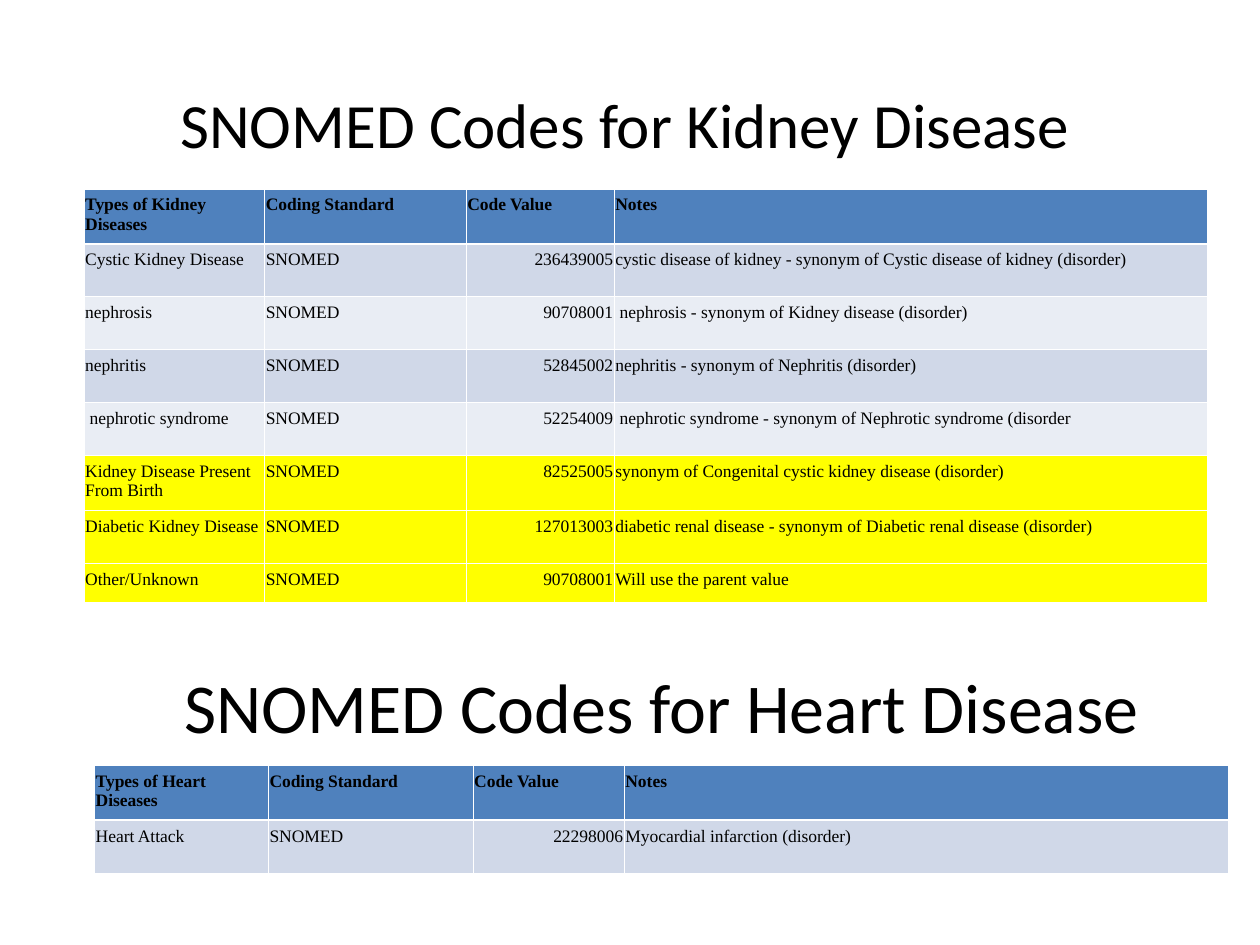
import pptx
import pptx.util
import pptx.dml.color
import pptx.enum.text
import pptx.oxml.ns
import lxml.etree

COLORS = {
    "header": "4F81BD",
    "dark": "D0D8E8",
    "light": "E9EDF4",
    "marked": "FFFF00",
    "rule": "FFFFFF",
    "text": "000000",
}
GRID_COLUMNS, GRID_ROWS = 120, 90
ROW, LAST_ROW = 5.05, 3.75
THIN, THICK = 0.45, 1.47
ALIGN = pptx.enum.text.PP_ALIGN
MIDDLE = pptx.enum.text.MSO_ANCHOR.MIDDLE

# Each row: disease, code, note, fill
KIDNEY = [
    ("Cystic Kidney Disease", "236439005",
     "cystic disease of kidney - synonym of Cystic disease of kidney (disorder)", "dark"),
    ("nephrosis", "90708001", " nephrosis - synonym of Kidney disease (disorder)", "light"),
    ("nephritis", "52845002", "nephritis - synonym of Nephritis (disorder)", "dark"),
    (" nephrotic syndrome", "52254009",
     " nephrotic syndrome - synonym of Nephrotic syndrome (disorder", "light"),
    ("Kidney Disease Present From Birth", "82525005",
     "synonym of Congenital cystic kidney disease (disorder)", "marked"),
    ("Diabetic Kidney Disease", "127013003",
     "diabetic renal disease - synonym of Diabetic renal disease (disorder)", "marked"),
    ("Other/Unknown", "90708001", "Will use the parent value", "marked"),
]
HEART = [("Heart Attack", "22298006", "Myocardial infarction (disorder)", "dark")]


def rgb(name):
    return pptx.dml.color.RGBColor.from_string(COLORS[name])


def across(columns):
    return pptx.util.Inches(columns * 10 / GRID_COLUMNS)


def down(rows):
    return pptx.util.Inches(rows * 7.5 / GRID_ROWS)


def place(box):
    left, top, width, height = box
    return across(left), down(top), across(width), down(height)


def write(frame, text, font, size, align, bold=False):
    para = frame.paragraphs[0]
    para.alignment = align
    span = para.add_run()
    span.text = text
    span.font.name = font
    span.font.size = pptx.util.Pt(size)
    span.font.bold = bold
    span.font.color.rgb = rgb("text")


def add_title(page, box, text, size):
    frame = page.shapes.add_textbox(*place(box)).text_frame
    frame.word_wrap = True
    frame.vertical_anchor = MIDDLE
    write(frame, text, "Calibri", size, ALIGN.CENTER)


def add_borders(cell, top, bottom):
    """Rule all four sides; the lines must come before the fill."""
    properties = cell._tc.get_or_add_tcPr()
    qn = pptx.oxml.ns.qn
    sides = [("a:lnL", THIN), ("a:lnR", THIN), ("a:lnT", top), ("a:lnB", bottom)]
    for position, (tag, width) in enumerate(sides):
        line = lxml.etree.Element(qn(tag), w=str(pptx.util.Pt(width)))
        fill = lxml.etree.SubElement(line, qn("a:solidFill"))
        lxml.etree.SubElement(fill, qn("a:srgbClr"), val=COLORS["rule"])
        properties.insert(position, line)


def add_code_table(page, box, organ, diseases, widths, heights):
    records = [(f"Types of {organ} Diseases", "Coding Standard", "Code Value", "Notes", "header")]
    records += [(name, "SNOMED", code, note, fill) for name, code, note, fill in diseases]
    table = page.shapes.add_table(len(records), len(widths), *place(box)).table
    table.horz_banding = False
    for column, width in zip(table.columns, widths):
        column.width = across(width)
    for row, height in zip(table.rows, heights):
        row.height = down(height)

    for r, (*texts, fill) in enumerate(records):
        for c, text in enumerate(texts):
            cell = table.cell(r, c)
            cell.margin_left = cell.margin_right = pptx.util.Inches(0.01)
            cell.fill.solid()
            cell.fill.fore_color.rgb = rgb(fill)
            add_borders(cell, THICK if r == 1 else THIN, THICK if r == 0 else THIN)
            align = ALIGN.RIGHT if r and c == 2 else ALIGN.LEFT
            write(cell.text_frame, text, "Times New Roman", 10, align, bold=r == 0)


def main():
    deck = pptx.Presentation()
    deck.slide_width, deck.slide_height = across(GRID_COLUMNS), down(GRID_ROWS)
    page = deck.slides.add_slide(deck.slide_layouts[6])

    # Kidney disease
    heights = [ROW] * len(KIDNEY) + [LAST_ROW]
    add_title(page, (9, 7, 101, 9.4), "SNOMED Codes for Kidney Disease", 36)
    add_code_table(page, (8, 18, 107, sum(heights)), "Kidney", KIDNEY,
                   [17.2, 19.2, 14.1, 56.5], heights)

    # Heart disease
    heights = [ROW] * 2
    add_title(page, (15, 64.5, 96, 5.4), "SNOMED Codes for Heart Disease", 40)
    add_code_table(page, (9, 72.9, 108, sum(heights)), "Heart", HEART,
                   [16.55, 19.5, 14.4, 57.55], heights)

    deck.save("out.pptx")


if __name__ == "__main__":
    main()
